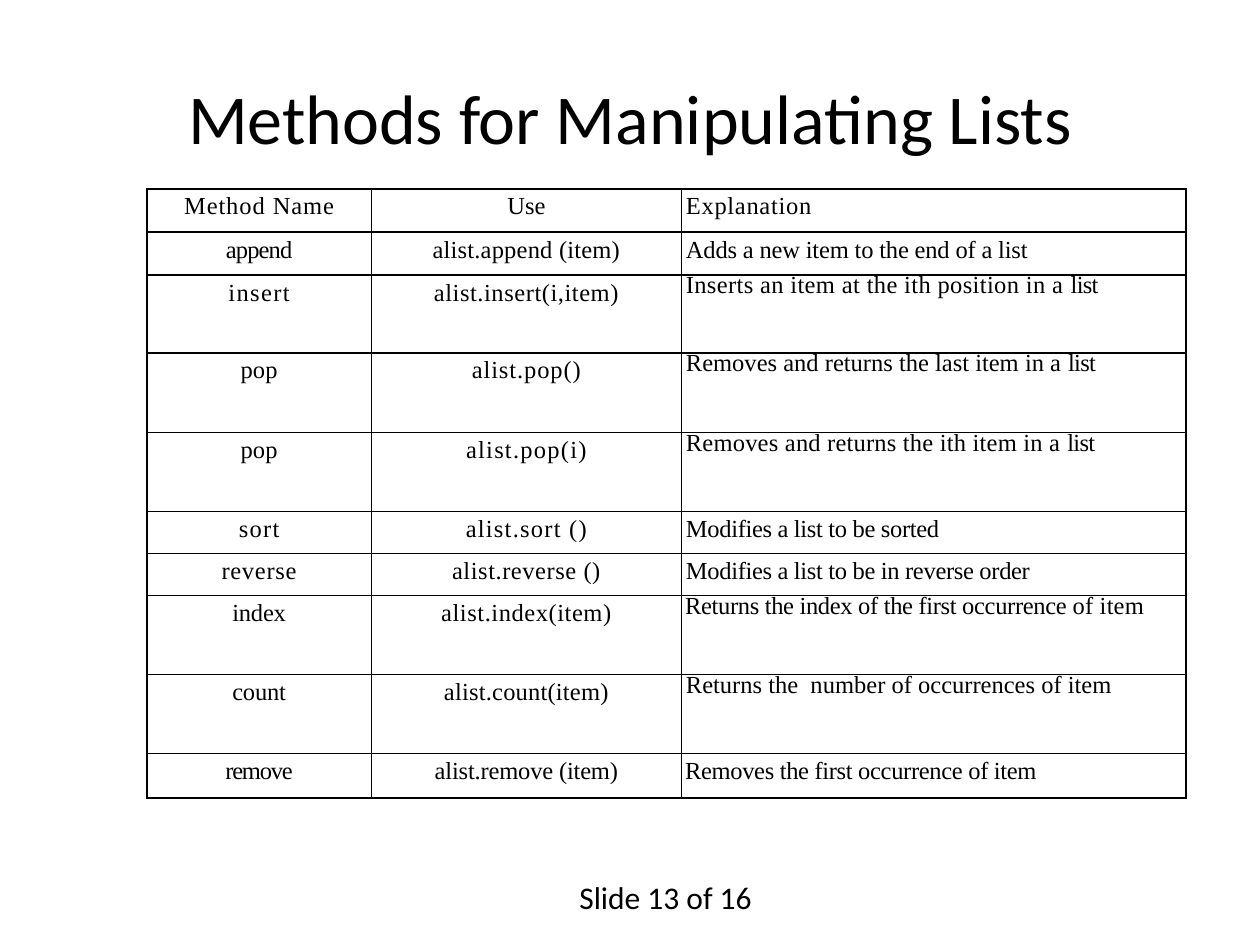
from lxml import etree
from pptx import Presentation
from pptx.dml.color import RGBColor
from pptx.enum.text import MSO_ANCHOR, MSO_AUTO_SIZE, PP_ALIGN
from pptx.oxml.ns import qn
from pptx.util import Pt

CENTER, LEFT = PP_ALIGN.CENTER, PP_ALIGN.LEFT
MIDDLE = MSO_ANCHOR.MIDDLE
GROW = MSO_AUTO_SIZE.SHAPE_TO_FIT_TEXT
BLACK, WHITE = "000000", "FFFFFF"


def add_run(paragraph, words, size, font, spacing=0):
    run = paragraph.add_run()
    run.text = words
    run.font.size = Pt(size)
    run.font.name = font
    run.font.color.rgb = RGBColor.from_string(BLACK)
    if spacing:
        run._r.get_or_add_rPr().set("spc", str(round(spacing * 100)))


def add_borders(cell):
    properties = cell._tc.get_or_add_tcPr()
    for position, side in enumerate(("a:lnL", "a:lnR", "a:lnT", "a:lnB")):
        border = etree.Element(qn(side), w=str(Pt(1)))
        fill = etree.SubElement(border, qn("a:solidFill"))
        etree.SubElement(fill, qn("a:srgbClr"), val=BLACK)
        properties.insert(position, border)


prs = Presentation()
prs.slide_width, prs.slide_height = Pt(720), Pt(540)
slide = prs.slides.add_slide(prs.slide_layouts[6])

footer = slide.shapes.add_textbox(Pt(324), Pt(498.4), Pt(117.4), Pt(29)).text_frame
footer.word_wrap = False
footer.auto_size = GROW
add_run(footer.paragraphs[0], "Slide 13 of 16", 18, "Calibri")

title = slide.shapes.add_textbox(Pt(36), Pt(21.6), Pt(648), Pt(90)).text_frame
title.word_wrap = True
title.vertical_anchor = MIDDLE
title.paragraphs[0].alignment = CENTER
add_run(title.paragraphs[0], "Methods for Manipulating Lists", 40, "Calibri")

# Each row: height, explanation line spacing, then (text, letter spacing) runs per column
methods = [
    (24.7, 1.15, [("Method Name", 0.5)], [("Use", 0)], [("Explanation", 0.4)]),
    (24.6, 1.15, [("append", -0.5)], [("alist.append (item)", 0.1)],
     [("Adds a new item to the end of a list", -0.1)]),
    (44.5, Pt(13.4), [("insert", 0.8)], [("alist.insert(i,item)", 0.3)],
     [("Inserts an item at the ith position in a ", 0.2), ("list", -0.4)]),
    (45.4, Pt(13.7), [("pop", 0)], [("alist.pop()", 0.5)],
     [("Removes and returns the last item in a ", 0), ("list", -0.4)]),
    (45.2, Pt(13.7), [("pop", 0)], [("alist.pop(i)", 0.7)],
     [("Removes and returns the ith item in a ", 0.1), ("list", -0.4)]),
    (24, 1.15, [("sort", 0.7)], [("alist.sort ()", 0.7)],
     [("Modifies a list to be sorted", -0.2)]),
    (24, 1.15, [("reverse", 0.4)], [("alist.reverse ()", 0.3)],
     [("Modifies a list to be in reverse order", -0.2)]),
    (45.2, Pt(13.7), [("index", -0.1)], [("alist.index(item)", 0.3)],
     [("Returns the index of the first occurrence ", -0.2), ("of item", 0.1)]),
    (45.2, Pt(13.7), [("count", -0.1)], [("alist.count(item)", 0.1)],
     [("Returns the  number of occurrences of item", 0)]),
    (25.4, 1.15, [("remove", -0.7)], [("alist.remove (item)", -0.1)],
     [("Removes the first occurrence of item", -0.2)]),
]
column_widths = (128.2, 177.3, 288.3)

table = slide.shapes.add_table(
    len(methods), len(column_widths), Pt(84), Pt(108),
    Pt(sum(column_widths)), Pt(sum(method[0] for method in methods))).table
table.first_row = table.horz_banding = False
for column, width in zip(table.columns, column_widths):
    column.width = Pt(width)

for row, (height, explanation_spacing, *entries) in enumerate(methods):
    table.rows[row].height = Pt(height)
    for col, runs in enumerate(entries):
        explains = col == 2
        cell = table.cell(row, col)
        cell.margin_left = cell.margin_right = Pt(2)
        cell.margin_top = cell.margin_bottom = 0
        cell.fill.solid()
        cell.fill.fore_color.rgb = RGBColor.from_string(WHITE)
        add_borders(cell)
        paragraph = cell.text_frame.paragraphs[0]
        paragraph.alignment = LEFT if explains else CENTER
        paragraph.line_spacing = explanation_spacing if explains else 1.15
        if explains and row not in (7, 9):
            paragraph._p.get_or_add_pPr().set("marL", str(Pt(0.5)))
        for words, spacing in runs:
            add_run(paragraph, words, 14, "Times New Roman", spacing)

prs.save("out.pptx")
